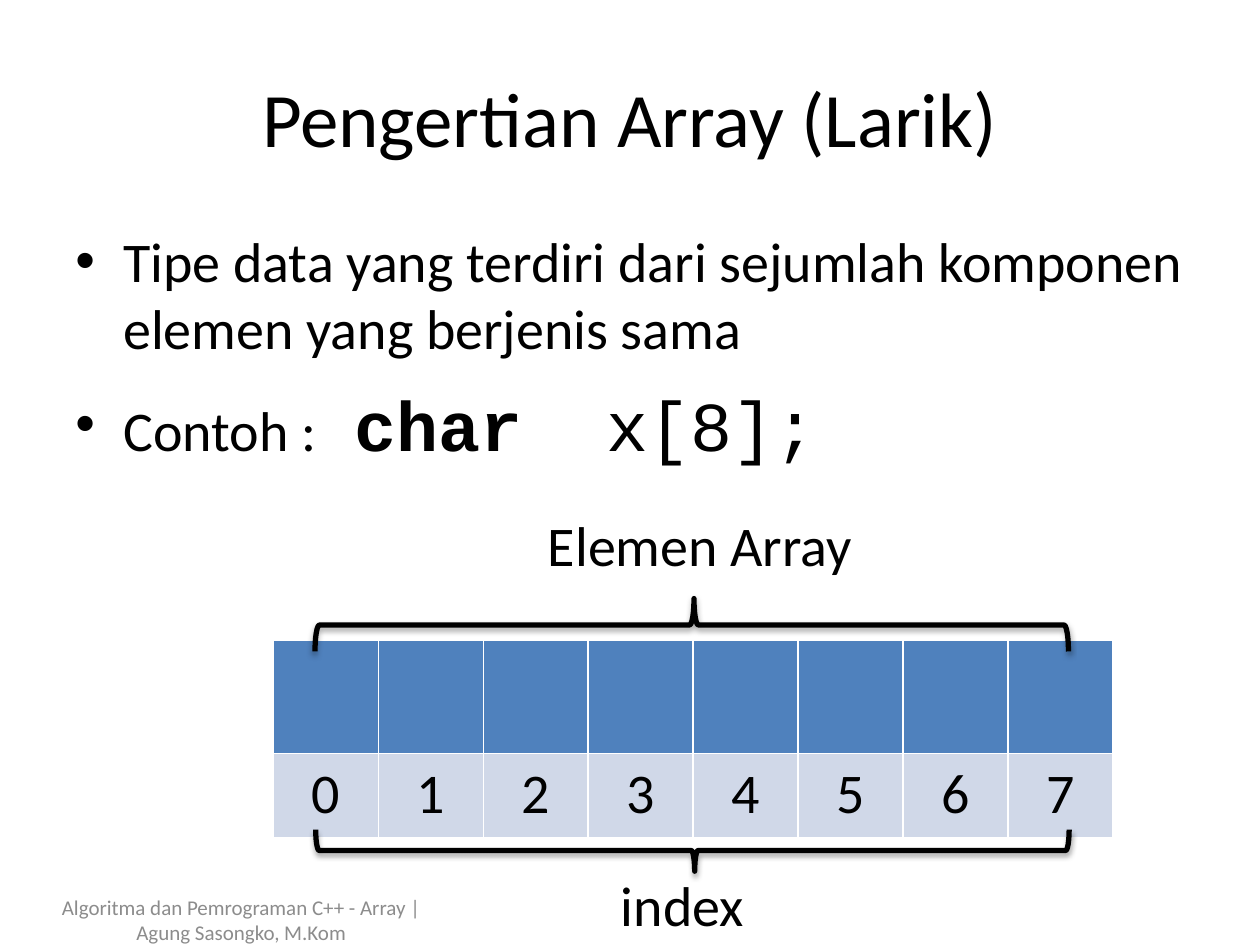
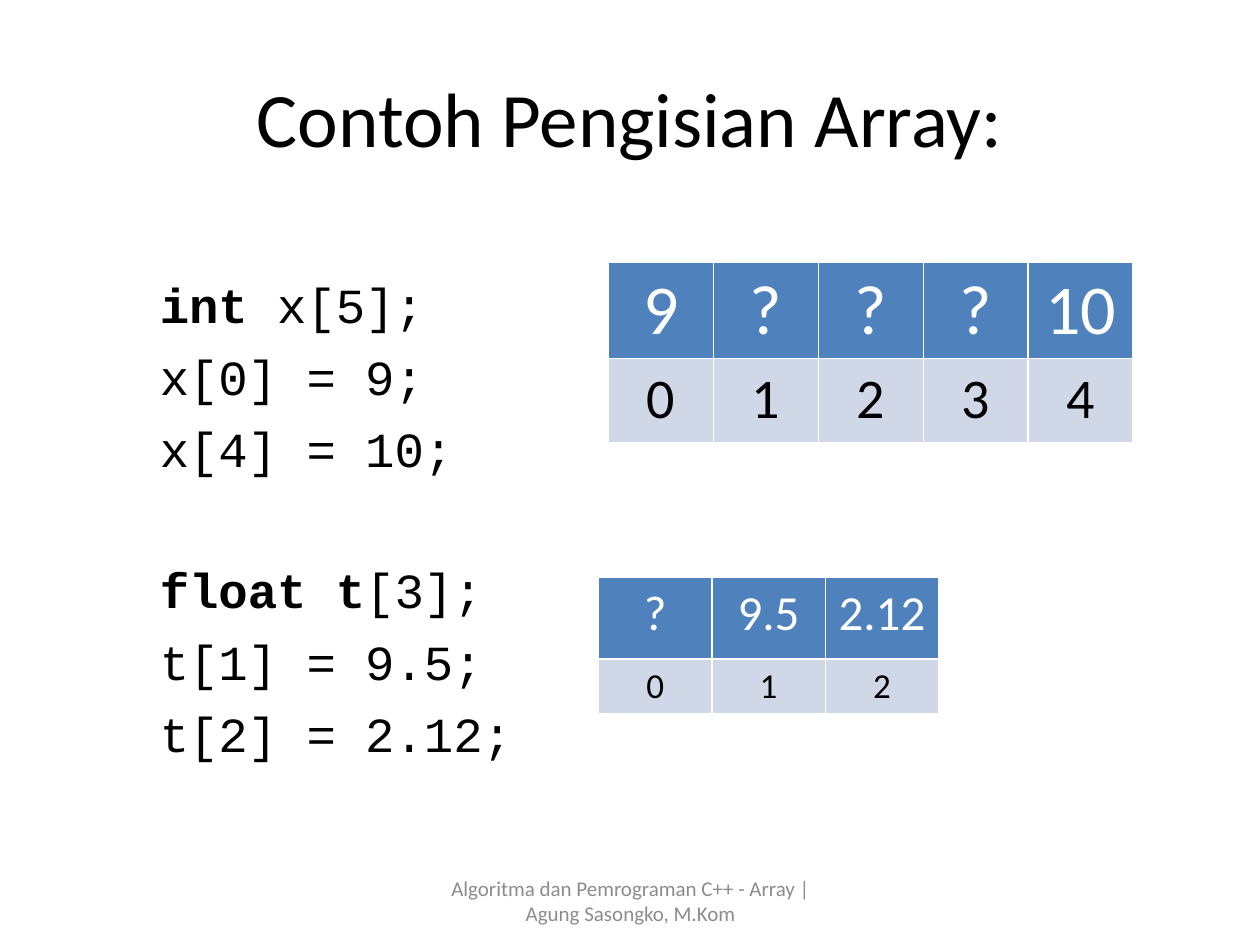
"""Build two slides on arrays: what an array is, and how to fill one."""
from lxml.etree import SubElement
from pptx import Presentation
from pptx.dml.color import RGBColor
from pptx.enum.shapes import MSO_SHAPE
from pptx.enum.text import MSO_ANCHOR, MSO_AUTO_SIZE, PP_ALIGN
from pptx.oxml import parse_xml
from pptx.oxml.ns import nsdecls, qn
from pptx.util import Pt

PX = 9144
BLACK = RGBColor(0x00, 0x00, 0x00)
WHITE = RGBColor(0xFF, 0xFF, 0xFF)
GRAY = RGBColor(0x8C, 0x8C, 0x8C)
BLUE = RGBColor(0x4F, 0x81, 0xBD)
PALE = RGBColor(0xD0, 0xD8, 0xE8)
SANS = "Calibri"
MONO = "Courier New"
FOOT = "Algoritma dan Pemrograman C++ - Array | Agung Sasongko, M.Kom"
SHADE = (
    f'<a:effectLst {nsdecls("a")}><a:outerShdw blurRad="40000" dist="23000" '
    'dir="5400000" rotWithShape="0"><a:srgbClr val="000000">'
    '<a:alpha val="35000"/></a:srgbClr></a:outerShdw></a:effectLst>'
)


def write(slide, box, paras, size, color=BLACK, mid=False, wrap=True):
    frame = slide.shapes.add_textbox(*[n * PX for n in box]).text_frame
    frame.word_wrap = wrap
    frame.auto_size = MSO_AUTO_SIZE.NONE if wrap else MSO_AUTO_SIZE.SHAPE_TO_FIT_TEXT
    frame.vertical_anchor = MSO_ANCHOR.MIDDLE if mid else MSO_ANCHOR.TOP
    for i, runs in enumerate(paras):
        para = frame.add_paragraph() if i else frame.paragraphs[0]
        para.alignment = PP_ALIGN.CENTER if mid else PP_ALIGN.LEFT
        for text, face, bold in runs:
            run = para.add_run()
            run.text = text
            run.font.name = face
            run.font.size = Pt(size)
            run.font.bold = bold
            run.font.color.rgb = color
    return frame


def grid(slide, left, top, wide, highs, rows, sizes):
    count = len(rows[0])
    area = (left, top, wide * count, sum(highs))
    table = slide.shapes.add_table(2, count, *[int(n * PX) for n in area]).table
    for col in table.columns:
        col.width = int(wide * PX)
    looks = zip(table.rows, highs, rows, sizes, (BLUE, PALE), (WHITE, BLACK))
    for row, high, texts, size, fill, ink in looks:
        row.height = high * PX
        for cell, text in zip(row.cells, texts):
            cell.fill.solid()
            cell.fill.fore_color.rgb = fill
            para = cell.text_frame.paragraphs[0]
            para.text = text
            para.alignment = PP_ALIGN.CENTER
            for run in para.runs:
                run.font.name = SANS
                run.font.size = Pt(size)
                run.font.bold = False
                run.font.color.rgb = ink


deck = Presentation()
deck.slide_width = 1000 * PX
deck.slide_height = 750 * PX

slides = []
for title, left, top in (
    ("Pengertian Array (Larik)", 33, 710),
    ("Contoh Pengisian Array:", 342, 695),
):
    slide = deck.slides.add_slide(deck.slide_layouts[6])
    write(slide, (50, 30, 900, 125), [[(title, SANS, False)]], 44, mid=True)
    write(slide, (left, top, 317, 40), [[(FOOT, SANS, False)]], 12, GRAY, mid=True)
    slides.append(slide)
first, second = slides

points = [
    [("Tipe data yang terdiri dari sejumlah komponen elemen yang berjenis sama", SANS, False)],
    [("Contoh :", SANS, False), (" ", SANS, False), ("char", MONO, True),
     (" ", MONO, True), ("x[8];", MONO, False)],
]
body = write(first, (50, 175, 900, 495), points, 32)
for para in body.paragraphs:
    props = para._p.get_or_add_pPr()
    props.set("marL", str(38 * PX))
    props.set("indent", str(-38 * PX))
    SubElement(props, qn("a:buFont")).set("typeface", "Arial")
    SubElement(props, qn("a:buChar")).set("char", "•")
sample = body.paragraphs[1]
sample.space_before = Pt(11.5)
for run in sample.runs[2:]:
    run.font.size = Pt(40)
for run, gap in ((sample.runs[1], 1450), (sample.runs[3], 2400)):
    run._r.get_or_add_rPr().set("spc", str(gap))

grid(first, 217, 508, 83.3, (90, 67), ([""] * 8, [str(n) for n in range(8)]), (32, 32))
for box, flip in (((528, 197, 42, 598), False), ((533, 376, 33, 598), True)):
    brace = first.shapes.add_shape(MSO_SHAPE.RIGHT_BRACE, *[n * PX for n in box])
    brace.rotation = 270
    brace.adjustments[0] = 0.083
    brace.adjustments[1] = 0.503
    brace.fill.background()
    brace.line.color.rgb = BLACK
    brace.line.width = Pt(3)
    props = brace._element.spPr
    props.append(parse_xml(SHADE))
    if flip:
        props.find(qn("a:xfrm")).set("flipH", "1")
for text, box in (("Elemen Array", (425, 400, 262, 64)), ("index", (483, 686, 119, 64))):
    write(first, box, [[(text, SANS, False)]], 32, wrap=False)

lines = [
    ("int ", "x[5];"),
    ("", "x[0] = 9;"),
    ("", "x[4] = 10;"),
    ("float t", "[3];"),
    ("", "t[1] = 9.5;"),
    ("", "t[2] = 2.12;"),
]
paras = [[(text, MONO, bold) for text, bold in ((key, True), (rest, False)) if text]
         for key, rest in lines]
code = write(second, (117, 213, 820, 462), paras, 28)
for i, para in enumerate(code.paragraphs):
    para.space_before = Pt((0, 7.5, 7.5, 47, 7.5, 7.5)[i])

for left, top, wide, highs, values, sizes in (
    (483, 208, 83.3, (76, 67), ["9", "?", "?", "?", "10"], (40, 32)),
    (475, 458, 90, (65, 43), ["?", "9.5", "2.12"], (28, 20)),
):
    marks = [str(n) for n in range(len(values))]
    grid(second, left, top, wide, highs, (values, marks), sizes)

deck.save("out.pptx")
